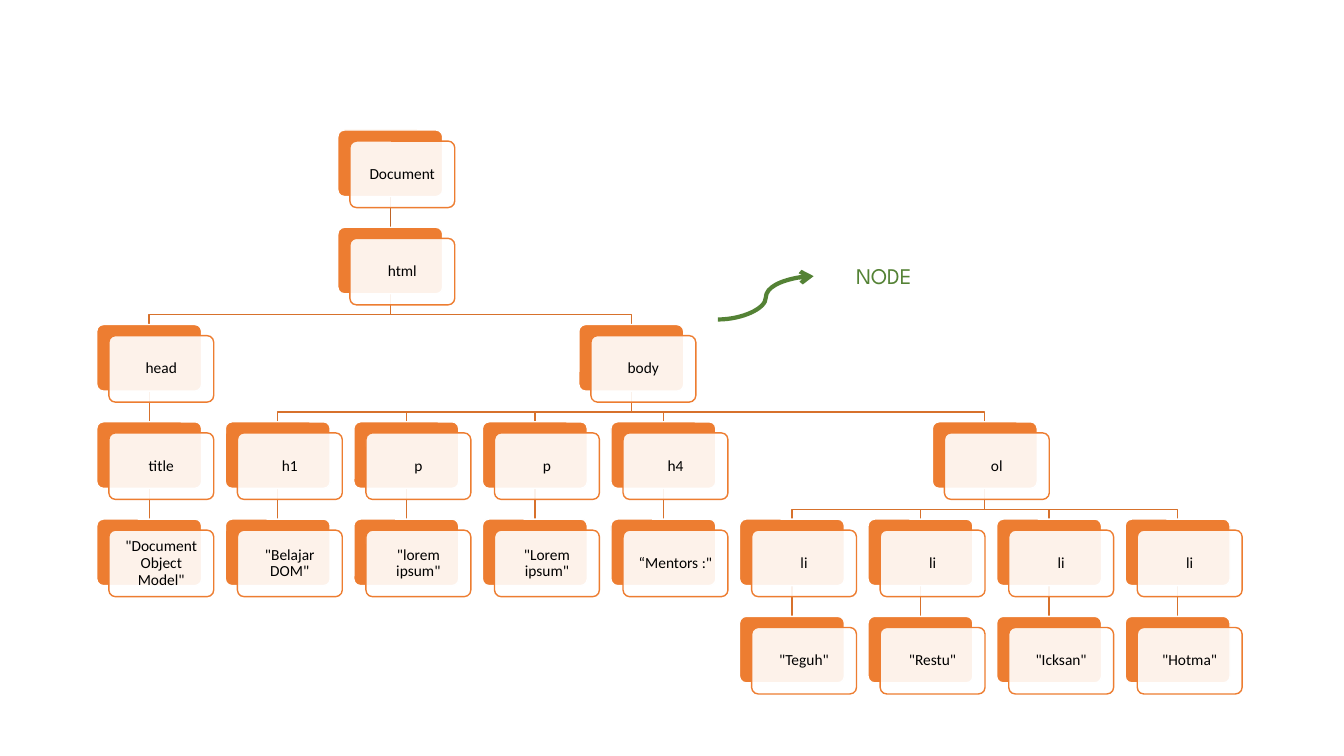
from dataclasses import dataclass, field
from itertools import count

from lxml import etree
from pptx import Presentation
from pptx.dml.color import RGBColor
from pptx.enum.shapes import MSO_CONNECTOR, MSO_SHAPE
from pptx.enum.text import MSO_ANCHOR, MSO_AUTO_SIZE, PP_ALIGN
from pptx.oxml.ns import qn
from pptx.util import Inches, Pt

STRAIGHT, CURVE = MSO_CONNECTOR.STRAIGHT, MSO_CONNECTOR.CURVE
ROUNDED = MSO_SHAPE.ROUNDED_RECTANGLE
MIDDLE = MSO_ANCHOR.MIDDLE
CENTER, RIGHT = PP_ALIGN.CENTER, PP_ALIGN.RIGHT
GROW = MSO_AUTO_SIZE.SHAPE_TO_FIT_TEXT
TOP_SIDE, BOTTOM_SIDE = 0, 2

ORANGE = RGBColor(0xED, 0x7D, 0x31)
ROOT_LINK = RGBColor(0xBE, 0x64, 0x27)
LINK = RGBColor(0xD7, 0x71, 0x2C)
GREEN = RGBColor(0x54, 0x82, 0x35)
WHITE = RGBColor(0xFF, 0xFF, 0xFF)
BLACK = RGBColor(0, 0, 0)

# Tree grid: the middle of the first column, the top of the first row, the steps
FIRST_MIDDLE, COLUMN_STEP = 1.48, 1.275
FIRST_TOP, ROW_STEP = 1.29, 0.965
CARD_WIDTH, CARD_HEIGHT = 1.04, 0.66
FRONT_RIGHT, FRONT_DOWN = 0.12, 0.11
BEND = 0.68  # share of the gap between rows above the bend


@dataclass
class Node:
    label: str
    children: list = field(default_factory=list)
    column: float = 0
    row: int = 0
    trunk: object = None
    card: object = None

    @property
    def middle(self):
        return FIRST_MIDDLE + self.column * COLUMN_STEP

    @property
    def top(self):
        return FIRST_TOP + self.row * ROW_STEP


def chain(*labels):
    """Make nodes that each hold the next one as an only child."""
    node = None
    for label in reversed(labels):
        node = Node(label, [node] if node else [])
    return node


def document_tree():
    names = ['"Teguh"', '"Restu"', '"Icksan"', '"Hotma"']
    body = Node("body", [
        chain("h1", '"Belajar DOM"'),
        chain("p", '"lorem ipsum"'),
        chain("p", '"Lorem ipsum"'),
        chain("h4", '“Mentors :"'),
        Node("ol", [chain("li", name) for name in names]),
    ])
    head = chain("head", "title", '"Document Object Model"')
    return Node("Document", [Node("html", [head, body])])


def arrange(node, free_columns, row=0):
    """Give leaves the next free column and centre parents over children."""
    node.row = row
    for child in node.children:
        arrange(child, free_columns, row + 1)
    if node.children:
        node.column = (node.children[0].column + node.children[-1].column) / 2
    else:
        node.column = next(free_columns)


def walk(node):
    yield node
    for child in node.children:
        yield from walk(child)


def add_line(page, kind, start, end, color, width):
    line = page.shapes.add_connector(kind, *map(Inches, start + end))
    line.line.color.rgb = color
    line.line.width = Pt(width)
    etree.SubElement(line._element.spPr, qn("a:effectLst"))
    return line


def add_branch(page, parent, child):
    bottom = parent.top + CARD_HEIGHT
    bend = bottom + BEND * (child.top - bottom)
    points = [(parent.middle, bend), (child.middle, bend), (child.middle, child.top)]
    builder = page.shapes.build_freeform(Inches(parent.middle), Inches(bottom))
    builder.add_line_segments([tuple(map(Inches, point)) for point in points], close=False)
    branch = builder.convert_to_shape()
    branch.shadow.inherit = False
    branch.fill.background()
    branch.line.color.rgb = LINK
    branch.line.width = Pt(1)


def add_links(page, parent):
    if len(parent.children) == 1:
        child = parent.children[0]
        parent.trunk = add_line(
            page, STRAIGHT, (parent.middle, parent.top + CARD_HEIGHT),
            (child.middle, child.top), LINK if parent.row else ROOT_LINK, 1)
    else:
        for child in parent.children:
            add_branch(page, parent, child)


def add_panel(page, left, top, fill, outline):
    panel = page.shapes.add_shape(
        ROUNDED, *map(Inches, (left, top, CARD_WIDTH, CARD_HEIGHT)))
    panel.adjustments[0] = 0.1
    panel.shadow.inherit = False
    panel.fill.solid()
    panel.fill.fore_color.rgb = fill
    panel.line.color.rgb = outline
    panel.line.width = Pt(1)
    return panel


def set_text(box, text, font, size, color, align):
    box.text_frame.word_wrap = True
    para = box.text_frame.paragraphs[0]
    para.text = text
    para.alignment = align
    para.font.name = font
    para.font.size = Pt(size)
    para.font.color.rgb = color
    return para


def add_card(page, node):
    left = node.middle - CARD_WIDTH / 2
    node.card = add_panel(page, left, node.top, ORANGE, WHITE)
    front = add_panel(page, left + FRONT_RIGHT, node.top + FRONT_DOWN, WHITE, ORANGE)
    color = front._element.spPr.find(qn("a:solidFill"))[0]
    etree.SubElement(color, qn("a:alpha"), val="90000")
    frame = front.text_frame
    frame.vertical_anchor = MIDDLE
    frame.margin_left = frame.margin_right = Inches(0.05)
    frame.margin_top = frame.margin_bottom = Inches(0.05)
    set_text(front, node.label, "Calibri", 11, BLACK, CENTER).line_spacing = 0.9


def join_trunk(node):
    if node.trunk is not None:
        node.trunk.begin_connect(node.card, BOTTOM_SIDE)
        node.trunk.end_connect(node.children[0].card, TOP_SIDE)


def add_node_note(page):
    box = page.shapes.add_textbox(*map(Inches, (8.07, 2.55, 1.07, 0.37)))
    set_text(box, "NODE", "League Spartan", 16, GREEN, RIGHT)
    box.text_frame.auto_size = GROW
    arrow = add_line(page, CURVE, (7.12, 3.17), (8.07, 2.74), GREEN, 3)
    etree.SubElement(arrow.line._get_or_add_ln(), qn("a:tailEnd"), type="arrow")


def main():
    deck = Presentation()
    deck.slide_width, deck.slide_height = Inches(13.33), Inches(7.5)
    page = deck.slides.add_slide(deck.slide_layouts[6])
    root = document_tree()
    arrange(root, count())
    nodes = list(walk(root))
    for node in nodes:
        add_links(page, node)
    for node in nodes:
        add_card(page, node)
    for node in nodes:
        join_trunk(node)
    add_node_note(page)
    deck.save("out.pptx")


if __name__ == "__main__":
    main()
